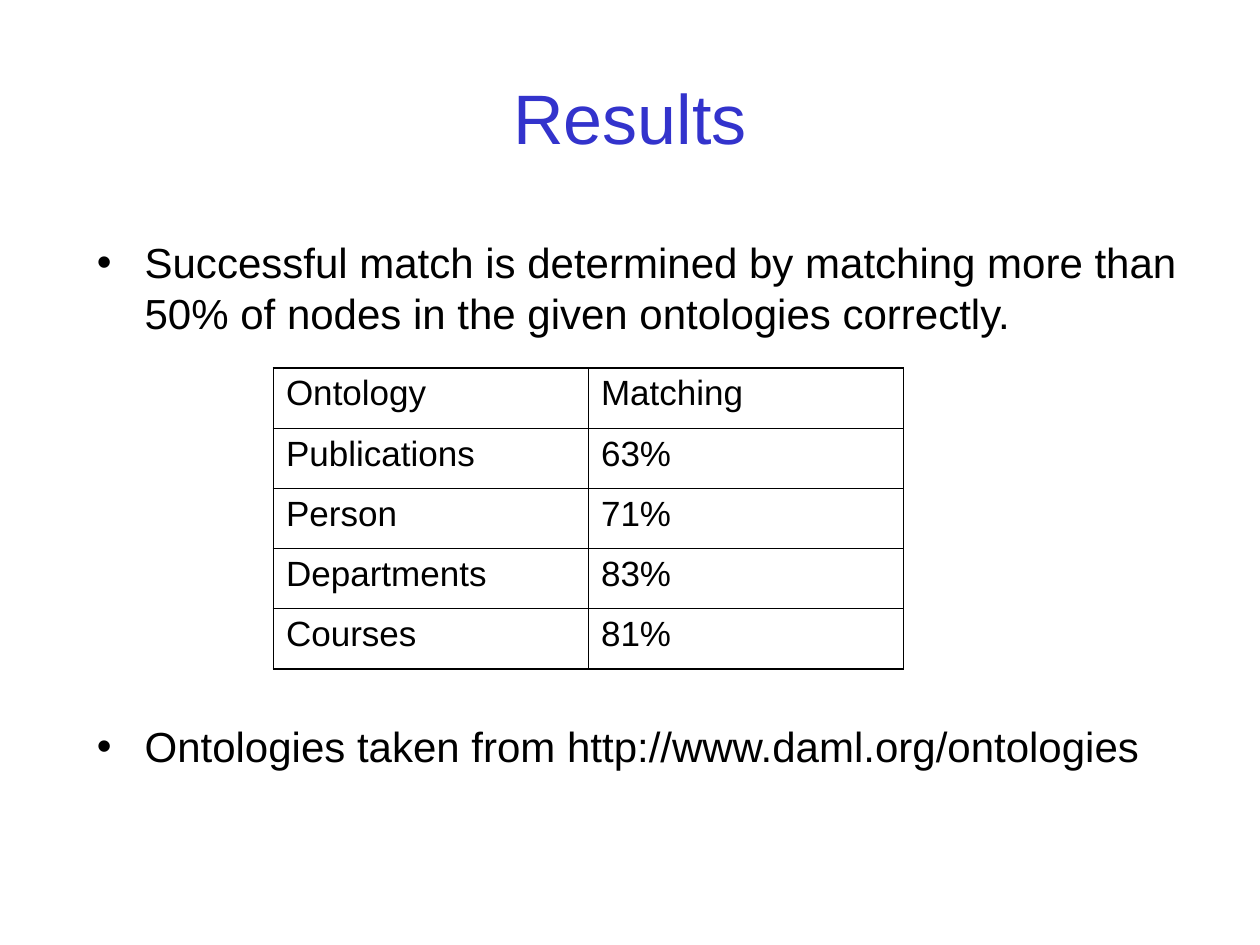
from lxml.etree import SubElement
from pptx import Presentation
from pptx.dml.color import RGBColor
from pptx.enum.text import MSO_ANCHOR, PP_ALIGN
from pptx.oxml.ns import qn
from pptx.util import Inches, Pt

COLORS = {"title": "3333CC", "text": "000000", "border": "000000", "cell": "FFFFFF"}
FONT = "Arial"
OUTER, INNER = 1.08, 0.45  # border widths in points

RESULTS = [
    ("Ontology", "Matching"),
    ("Publications", "63%"),
    ("Person", "71%"),
    ("Departments", "83%"),
    ("Courses", "81%"),
]


def write_text(frame, text, size, color="text", align=PP_ALIGN.LEFT, before=0):
    frame.word_wrap = True
    paragraph = frame.paragraphs[0]
    paragraph.alignment = align
    paragraph.space_before = Pt(before)
    run = paragraph.add_run()
    run.text = text
    run.font.name = FONT
    run.font.size = Pt(size)
    run.font.color.rgb = RGBColor.from_string(COLORS[color])
    return paragraph


def place_title(slide, text, left, top, width, height):
    title = slide.shapes.title
    title.left, title.top = Inches(left), Inches(top)
    title.width, title.height = Inches(width), Inches(height)
    title.text_frame.vertical_anchor = MSO_ANCHOR.MIDDLE
    write_text(title.text_frame, text, 40, color="title", align=PP_ALIGN.CENTER)


def add_bullet(slide, text, left, top, width, height):
    box = slide.shapes.add_textbox(
        Inches(left), Inches(top), Inches(width), Inches(height))
    paragraph = write_text(box.text_frame, text, 24, before=6)
    properties = paragraph._p.get_or_add_pPr()
    properties.set("marL", str(Inches(0.38)))
    properties.set("indent", str(Inches(-0.38)))
    SubElement(properties, qn("a:buFont"), typeface=FONT)
    SubElement(properties, qn("a:buChar"), char="•")


def set_borders(cell, widths):
    properties = cell._tc.get_or_add_tcPr()
    for side, width in widths.items():
        line = SubElement(properties, qn(f"a:ln{side}"), w=str(Pt(width)))
        fill = SubElement(line, qn("a:solidFill"))
        SubElement(fill, qn("a:srgbClr"), val=COLORS["border"])


def add_results_table(slide, rows, left, top, width, height):
    row_count, column_count = len(rows), len(rows[0])
    table = slide.shapes.add_table(
        row_count, column_count,
        Inches(left), Inches(top), Inches(width), Inches(height)).table
    table.first_row = table.horz_banding = False
    for row, values in enumerate(rows):
        for column, value in enumerate(values):
            cell = table.cell(row, column)
            write_text(cell.text_frame, value, 20, before=5)
            # Heavier lines on the outside of the grid
            set_borders(cell, {
                "L": OUTER if column == 0 else INNER,
                "R": OUTER if column == column_count - 1 else INNER,
                "T": OUTER if row == 0 else INNER,
                "B": OUTER if row == row_count - 1 else INNER,
            })
            cell.fill.solid()
            cell.fill.fore_color.rgb = RGBColor.from_string(COLORS["cell"])


def main():
    presentation = Presentation()
    presentation.slide_width, presentation.slide_height = Inches(10), Inches(7.5)
    slide = presentation.slides.add_slide(presentation.slide_layouts[5])

    place_title(slide, "Results", 0.5, 0.3, 9, 1.25)
    add_bullet(slide, "Successful match is determined by matching more than "
               "50% of nodes in the given ontologies correctly.",
               0.67, 1.83, 9, 0.92)
    add_results_table(slide, RESULTS, 2.17, 2.92, 5, 2.39)
    add_bullet(slide, "Ontologies taken from http://www.daml.org/ontologies",
               0.67, 5.67, 9, 0.58)

    presentation.save("out.pptx")


if __name__ == "__main__":
    main()
